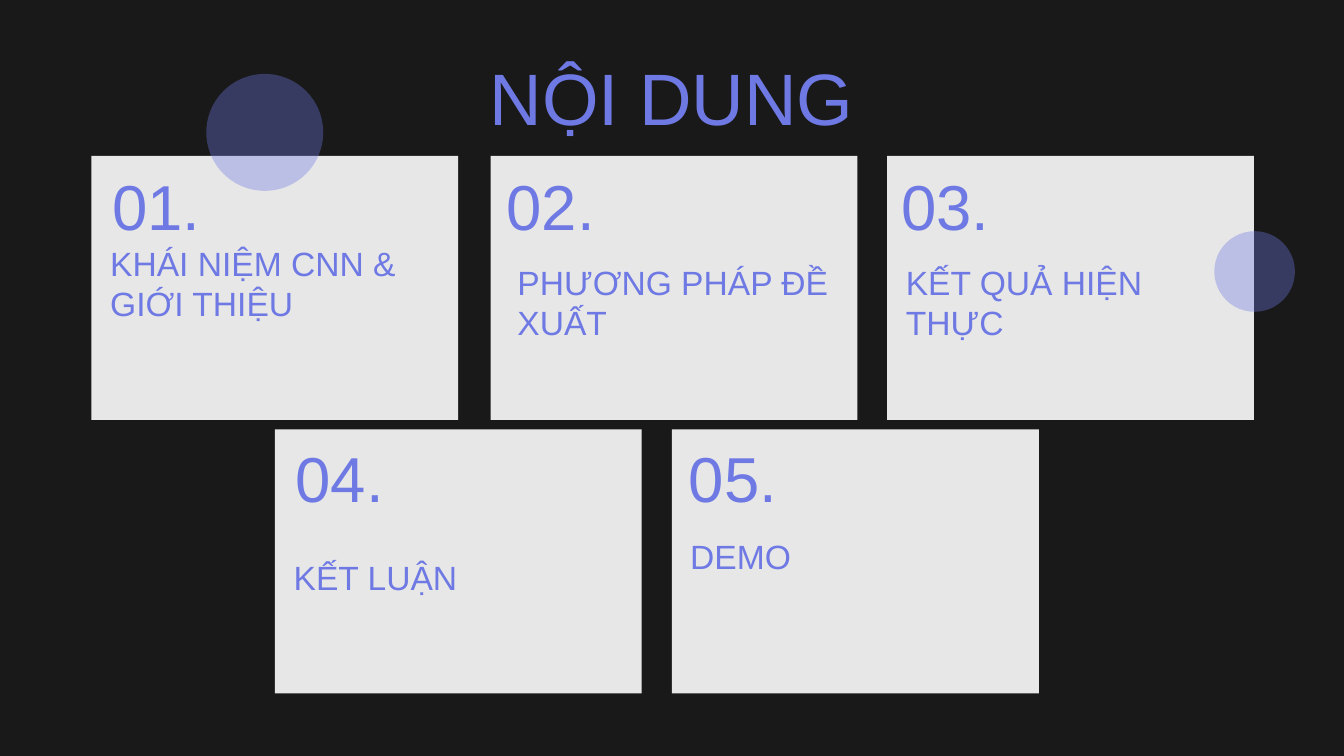
from lxml.etree import SubElement
from pptx import Presentation
from pptx.dml.color import RGBColor
from pptx.enum.shapes import MSO_SHAPE
from pptx.enum.text import MSO_AUTO_SIZE, PP_ALIGN
from pptx.oxml.ns import qn
from pptx.util import Inches, Pt

BACKGROUND = RGBColor(0x19, 0x19, 0x19)
CARD_GREY = RGBColor(0xE7, 0xE7, 0xE7)
PERIWINKLE = RGBColor(0x6E, 0x79, 0xE4)

CARD_WIDTH, CARD_HEIGHT = 5.46, 3.93
TOP_ROW, BOTTOM_ROW = 2.32, 6.39

# Card left and top, number left and top, heading text and its box
SECTIONS = [
    (1.36, TOP_ROW, 1.67, 2.49, "KHÁI NIỆM CNN & GIỚI THIỆU", (1.64, 3.61, 4.91, 1.27)),
    (7.3, TOP_ROW, 7.54, 2.49, "PHƯƠNG PHÁP ĐỀ XUẤT", (7.7, 3.9, 4.65, 1.27)),
    (13.2, TOP_ROW, 13.41, 2.49, "KẾT QUẢ HIỆN THỰC", (13.48, 3.9, 4.91, 1.27)),
    (4.09, BOTTOM_ROW, 4.4, 6.54, "KẾT LUẬN", (4.37, 8.28, 4.91, 0.68)),
    (10, BOTTOM_ROW, 10.25, 6.54, "DEMO", (10.27, 7.98, 4.91, 0.68)),
]
# Left, top, diameter
CIRCLES = [(18.07, 3.44, 1.2), (3.07, 1.1, 1.74)]


class ContentsSlide:
    """Holds the style and the current slide."""

    font_format = {"name": "Arial"}
    frame_format = {
        "margin_left": 0, "margin_top": 0, "margin_right": 0, "margin_bottom": 0,
        "word_wrap": True, "auto_size": MSO_AUTO_SIZE.SHAPE_TO_FIT_TEXT,
    }
    line_factor = 1.2

    def __init__(self, slide):
        self.slide = slide
        slide.background.fill.solid()
        slide.background.fill.fore_color.rgb = BACKGROUND

    def filled_shape(self, preset, box, color):
        shape = self.slide.shapes.add_shape(preset, *map(Inches, box))
        shape.shadow.inherit = False
        shape.fill.solid()
        shape.fill.fore_color.rgb = color
        shape.line.fill.background()
        return shape

    def card(self, left, top):
        self.filled_shape(MSO_SHAPE.RECTANGLE, (left, top, CARD_WIDTH, CARD_HEIGHT), CARD_GREY)

    def circle(self, left, top, diameter, opacity=36):
        disc = self.filled_shape(MSO_SHAPE.OVAL, (left, top, diameter, diameter), PERIWINKLE)
        color = disc.fill._xPr.find(qn("a:solidFill"))[0]
        SubElement(color, qn("a:alpha"), val=str(opacity * 1000))

    def text(self, words, box, size, align=PP_ALIGN.LEFT):
        frame = self.slide.shapes.add_textbox(*map(Inches, box)).text_frame
        for name, value in self.frame_format.items():
            setattr(frame, name, value)
        paragraph = frame.paragraphs[0]
        paragraph.alignment = align
        paragraph.line_spacing = Pt(size * self.line_factor)
        run = paragraph.add_run()
        run.text = words
        for name, value in {**self.font_format, "size": Pt(size)}.items():
            setattr(run.font, name, value)
        run.font.color.rgb = PERIWINKLE


def main():
    deck = Presentation()
    deck.slide_width, deck.slide_height = Inches(20), Inches(11.25)
    contents = ContentsSlide(deck.slides.add_slide(deck.slide_layouts[6]))

    # Numbered sections
    for number, section in enumerate(SECTIONS, 1):
        card_left, card_top, number_left, number_top, heading, heading_box = section
        contents.card(card_left, card_top)
        contents.text(heading, heading_box, 36)
        contents.text(f"{number:02}.", (number_left, number_top, 1.82, 0.85), 68)

    # Title
    contents.text("NỘI DUNG", (1.67, 0.79, 16.65, 1.46), 78, PP_ALIGN.CENTER)

    # Translucent circles over the cards
    for circle in CIRCLES:
        contents.circle(*circle)

    deck.save("out.pptx")


if __name__ == "__main__":
    main()
